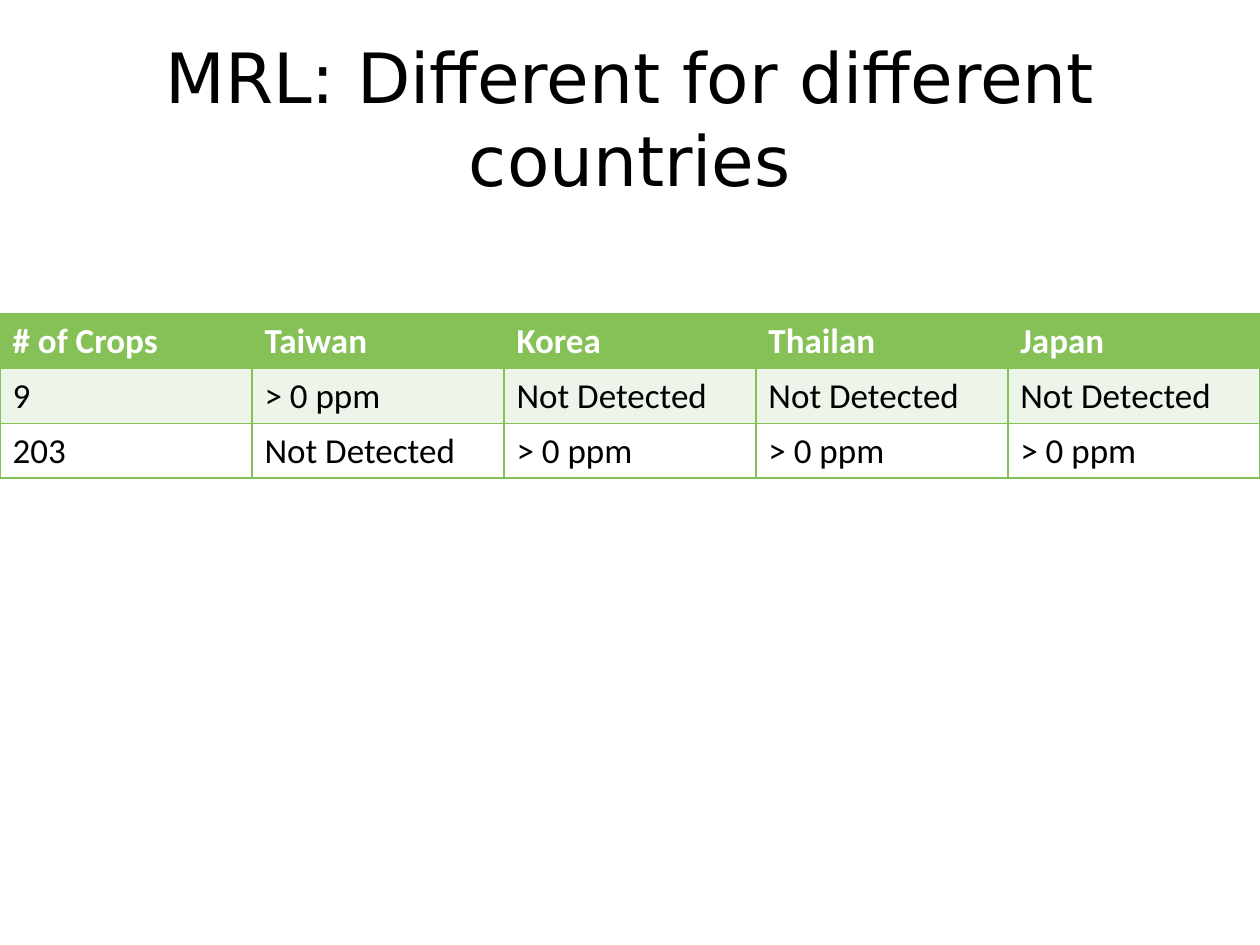
from lxml import etree
from pptx import Presentation
from pptx.dml.color import RGBColor
from pptx.enum.text import MSO_ANCHOR, PP_ALIGN
from pptx.oxml.ns import qn
from pptx.util import Pt

PX = 914400 // 126
BLANK_LAYOUT = 6
CENTER = PP_ALIGN.CENTER
MIDDLE = MSO_ANCHOR.MIDDLE

BLACK = RGBColor(0x00, 0x00, 0x00)
WHITE = RGBColor(0xFF, 0xFF, 0xFF)
GREEN = RGBColor(0x86, 0xC1, 0x57)
PALE_GREEN = RGBColor(0xED, 0xF4, 0xE9)

ROW_FILLS = [GREEN, PALE_GREEN, WHITE]
ROWS = [
    ["# of Crops", "Taiwan", "Korea", "Thailan", "Japan"],
    ["9", "> 0 ppm", "Not Detected", "Not Detected", "Not Detected"],
    ["203", "Not Detected", "> 0 ppm", "> 0 ppm", "> 0 ppm"],
]
COLUMN_WIDTH = 252
ROW_HEIGHT = 53


def add_text(paragraph, text, font_name, size, color, bold=False):
    span = paragraph.add_run()
    span.text = text
    span.font.name = font_name
    span.font.size = Pt(size)
    span.font.color.rgb = color
    span.font.bold = bold


def add_borders(cell, color, width):
    """Draw a solid line on all four sides; call before filling the cell."""
    properties = cell._tc.get_or_add_tcPr()
    for side in ("a:lnL", "a:lnR", "a:lnT", "a:lnB"):
        line = etree.SubElement(properties, qn(side), w=str(Pt(width)))
        fill = etree.SubElement(line, qn("a:solidFill"))
        etree.SubElement(fill, qn("a:srgbClr"), val=str(color))


deck = Presentation()
deck.slide_width = 1260 * PX
deck.slide_height = 945 * PX
page = deck.slides.add_slide(deck.slide_layouts[BLANK_LAYOUT])

# Title
title_box = page.shapes.add_textbox(63 * PX, 38 * PX, 1134 * PX, 158 * PX)
title_box.text_frame.word_wrap = True
title_box.text_frame.vertical_anchor = MIDDLE
title = title_box.text_frame.paragraphs[0]
title.alignment = CENTER
add_text(title, "MRL: Different for different countries", "DejaVu Sans", 39.6, BLACK)

# Residue limits by country
table = page.shapes.add_table(
    len(ROWS), len(ROWS[0]), 0, 314 * PX,
    len(ROWS[0]) * COLUMN_WIDTH * PX, len(ROWS) * ROW_HEIGHT * PX,
).table
for column in table.columns:
    column.width = COLUMN_WIDTH * PX

for row_index, (values, row_fill) in enumerate(zip(ROWS, ROW_FILLS)):
    table.rows[row_index].height = ROW_HEIGHT * PX
    is_header = row_index == 0
    for column_index, value in enumerate(values):
        cell = table.cell(row_index, column_index)
        add_borders(cell, GREEN, 0.96)
        cell.fill.solid()
        cell.fill.fore_color.rgb = row_fill
        add_text(cell.text_frame.paragraphs[0], value, "Calibri", 20,
                 WHITE if is_header else BLACK, bold=is_header)

deck.save("out.pptx")
